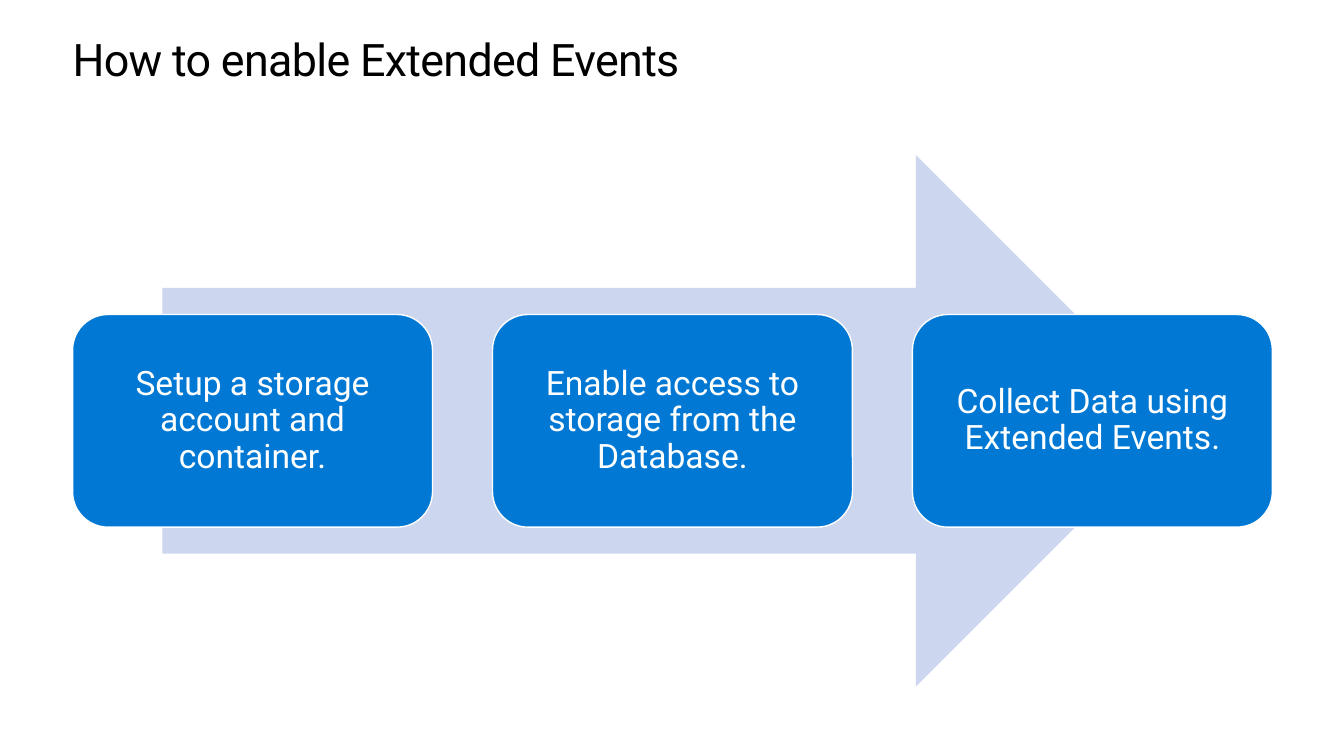
"""Build the slide on enabling Extended Events: three steps along an arrow."""
from pptx import Presentation
from pptx import util as u
from pptx.dml.color import RGBColor
from pptx.enum import shapes, text

TITLE = "How to enable Extended Events"
STEPS = [
    "Setup a storage account and container.",
    "Enable access to storage from the Database.",
    "Collect Data using Extended Events.",
]

THEME = {
    "font": "Roboto", "title_size": 32, "step_size": 24,
    "ink": "000000", "paper": "FFFFFF", "arrow": "CCD6EF", "step": "0078D4",
}

LEFT, WIDTH = 0.72, 11.9
TITLE_TOP, TITLE_H = 0.35, 0.5
ARROW = (1.61, 1.54, 10.11, 5.27)
STEP_W, STEP_H = 3.57, 2.11
STEP_TOP = ARROW[1] + (ARROW[3] - STEP_H) / 2
STEP_PITCH = (WIDTH - STEP_W) / (len(STEPS) - 1)


def color(name):
    return RGBColor.from_string(THEME[name])


def add_shape(s, kind, box, fill, line=None):
    sp = s.shapes.add_shape(kind, *map(u.Inches, box))
    sp.shadow.inherit = False
    sp.fill.solid()
    sp.fill.fore_color.rgb = color(fill)
    if line:
        sp.line.color.rgb = color(line)
        sp.line.width = u.Pt(1)
    else:
        sp.line.fill.background()
    return sp


def write(sp, words, size, ink, margin, anchor, align, spacing):
    tf = sp.text_frame
    frame = {"word_wrap": True, "vertical_anchor": anchor}
    for side in ("left", "top", "right", "bottom"):
        frame[f"margin_{side}"] = u.Inches(margin)
    p = tf.paragraphs[0]
    r = p.add_run()
    r.text = words
    formats = [
        (tf, frame),
        (p, {"alignment": align, "line_spacing": spacing}),
        (r.font, {"name": THEME["font"], "size": u.Pt(THEME[size])}),
    ]
    for target, values in formats:
        for key, value in values.items():
            setattr(target, key, value)
    r.font.color.rgb = color(ink)
    return r


def main():
    prs = Presentation()
    prs.slide_width, prs.slide_height = u.Inches(13.33), u.Inches(7.5)
    s = prs.slides.add_slide(prs.slide_layouts[6])

    kind = shapes.MSO_SHAPE
    title = add_shape(s, kind.RECTANGLE, (LEFT, TITLE_TOP, WIDTH, TITLE_H), "paper")
    r = write(title, TITLE, "title_size", "ink", 0,
              text.MSO_ANCHOR.TOP, text.PP_ALIGN.LEFT, u.Pt(36.2))
    r.font._element.set("spc", "-50")

    add_shape(s, kind.RIGHT_ARROW, ARROW, "arrow")
    for i, step in enumerate(STEPS):
        box = (LEFT + i * STEP_PITCH, STEP_TOP, STEP_W, STEP_H)
        sp = add_shape(s, kind.ROUNDED_RECTANGLE, box, "step", "paper")
        write(sp, step, "step_size", "paper", 0.1,
              text.MSO_ANCHOR.MIDDLE, text.PP_ALIGN.CENTER, 0.9)

    prs.save("out.pptx")


if __name__ == "__main__":
    main()
